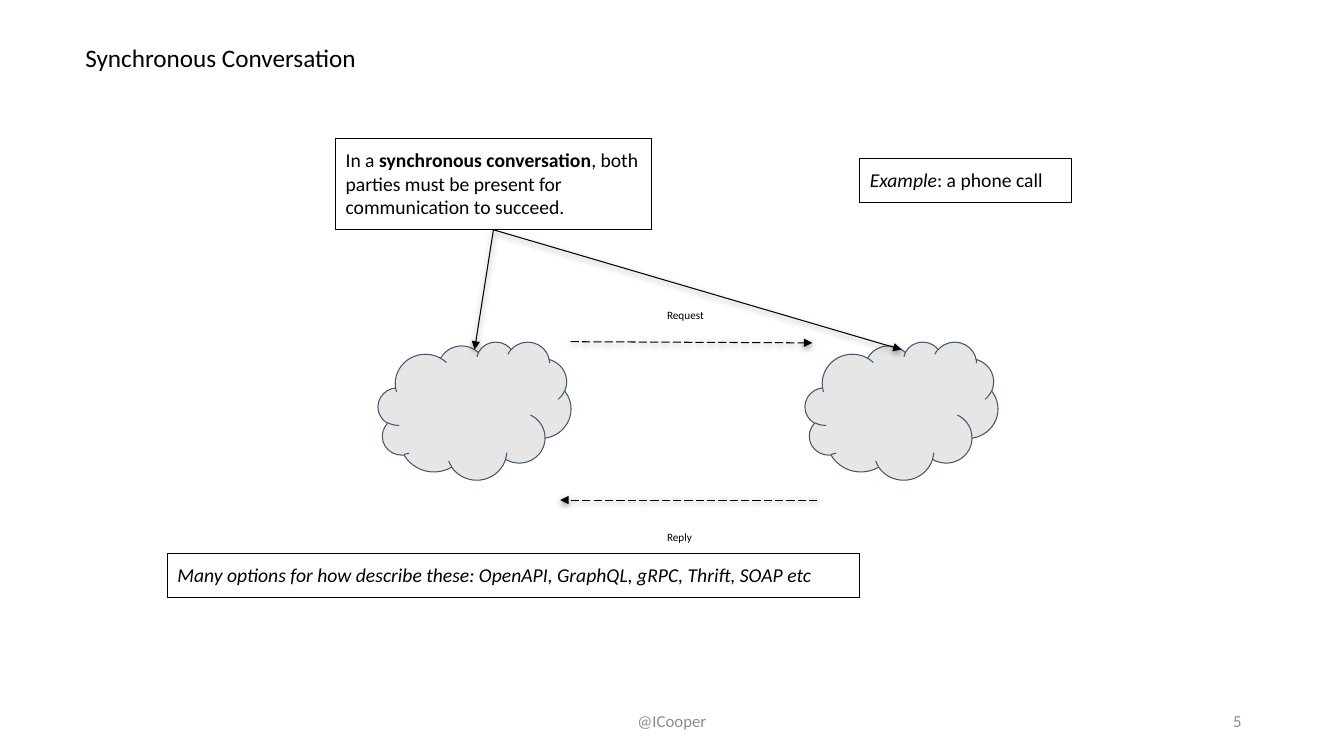
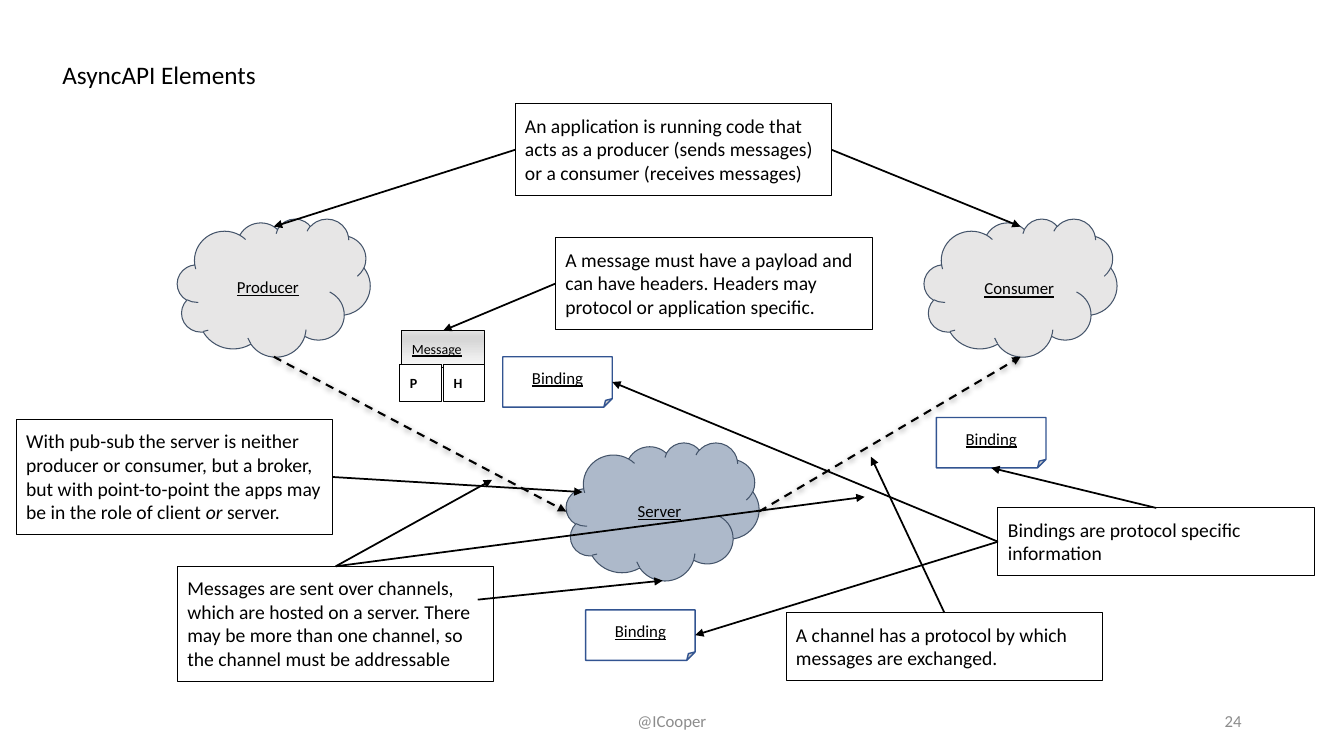
from copy import deepcopy
from dataclasses import dataclass, field
from typing import NamedTuple

from lxml.etree import SubElement
from pptx import Presentation
from pptx.dml.color import RGBColor
from pptx.enum.dml import MSO_LINE as Dash
from pptx.enum.shapes import MSO_CONNECTOR, MSO_SHAPE as Preset, PP_PLACEHOLDER as Kind
from pptx.enum.text import MSO_ANCHOR as Anchor, MSO_AUTO_SIZE as Fit, PP_ALIGN as Align
from pptx.oxml.ns import qn
from pptx.util import Cm, Pt

BLACK, WHITE, GREY = "000000", "FFFFFF", "8C8C8C"
PALE, SLATE, STEEL, BLUE = "E7E6E6", "44546A", "ADB9CA", "325491"
MESSAGE_STOPS = ((0, "FAFAFA"), (74, "D7D7D7"), (83, "D7D7D7"), (100, "E4E4E4"))
TOP, LEFT, BOTTOM, RIGHT = range(4)
CLOUD_WIDTH, CLOUD_HEIGHT = 4.86, 3.48
NOTE_WIDTH = 7.98
FOOTER_TEXT = "@ICooper"
UNDERLINED = {"size": Pt(12), "underline": True}
ITALIC = {"italic": True}
BOLD = {"bold": True}


class Box(NamedTuple):
    left: float
    top: float
    width: float
    height: float


class Point(NamedTuple):
    x: float
    y: float


class Side(NamedTuple):
    name: str
    site: int


class Words(NamedTuple):
    text: str
    style: dict = {}


@dataclass
class TextStyle:
    size: int = 14
    colour: str = BLACK
    align: Align = Align.LEFT
    anchor: Anchor = Anchor.TOP
    inset: float = 0.25


@dataclass
class Item:
    name: str
    box: Box
    words: list[Words] = field(default_factory=list)
    preset: Preset | None = Preset.RECTANGLE
    fill: str | tuple | None = None
    line: str = BLACK
    weight: float = 0.75
    style: TextStyle = field(default_factory=TextStyle)


@dataclass
class Arrow:
    start: Point | Side
    end: Point | Side
    weight: float = 1.25
    dash: Dash | None = None
    shadow: bool = False


@dataclass
class Page:
    title: str
    title_at: Point
    number: str
    items: list[Item]
    arrows: list[Arrow]


TITLE_STYLE = TextStyle(size=18)
FOOTER_STYLE = TextStyle(12, GREY, Align.CENTER, Anchor.MIDDLE)
NUMBER_STYLE = TextStyle(12, GREY, Align.RIGHT, Anchor.MIDDLE)
FOOTERS = {
    Kind.FOOTER: (Box(11.22, 17.65, 11.43, 1.02), FOOTER_STYLE),
    Kind.SLIDE_NUMBER: (Box(23.92, 17.65, 7.62, 1.02), NUMBER_STYLE),
}


def cloud(name: str, left: float, top: float, fill: str = PALE) -> Item:
    box = Box(left, top, CLOUD_WIDTH, CLOUD_HEIGHT)
    return Item(name, box, preset=Preset.CLOUD, fill=fill, line=SLATE)


def label(text: str, box: Box, **style) -> Item:
    return Item(text + " label", box, [Words(text, style)], preset=None)


def note(name: str, left: float, top: float, height: float, *words: Words) -> Item:
    return Item(name, Box(left, top, NOTE_WIDTH, height), list(words))


def binding(name: str, left: float, top: float) -> Item:
    style = TextStyle(12, BLACK, Align.CENTER, Anchor.MIDDLE)
    return Item(name, Box(left, top, 2.76, 1.27), [Words("Binding", UNDERLINED)],
                Preset.FOLDED_CORNER, WHITE, BLUE, 1, style)


def message_part(text: str, left: float) -> Item:
    return Item(text, Box(left, 9.19, 1.04, 0.94), [Words(text, BOLD)],
                fill=WHITE, style=TextStyle(size=10))


def set_values(target, values: dict) -> None:
    for name, value in values.items():
        setattr(target, name, value)


def colour(value: str) -> RGBColor:
    return RGBColor.from_string(value)


def place(shape, box: Box) -> None:
    set_values(shape, {name: Cm(value) for name, value in box._asdict().items()})


def write(shape, words: list[Words], style: TextStyle) -> None:
    frame = shape.text_frame
    frame.text = ""
    set_values(frame, {
        "word_wrap": True, "auto_size": Fit.NONE, "vertical_anchor": style.anchor,
        "margin_left": Cm(style.inset), "margin_right": Cm(style.inset),
        "margin_top": Cm(style.inset), "margin_bottom": Cm(style.inset),
    })
    paragraph = frame.paragraphs[0]
    paragraph.alignment = style.align
    for piece in words:
        run = paragraph.add_run()
        run.text = piece.text
        set_values(run.font, {"name": "Calibri", "size": Pt(style.size)} | piece.style)
        run.font.color.rgb = colour(style.colour)


def paint(shape, fill: str | tuple | None) -> None:
    if fill is None:
        shape.fill.background()
    elif isinstance(fill, str):
        shape.fill.solid()
        shape.fill.fore_color.rgb = colour(fill)
    else:
        shape.fill.gradient()
        shape.fill.gradient_angle = 90
        stops = next(shape.element.iter(qn("a:gsLst")))
        stops.clear()
        for position, value in fill:
            stop = SubElement(stops, qn("a:gs"), pos=str(position * 1000))
            SubElement(stop, qn("a:srgbClr"), val=value)


def draw_item(slide, item: Item):
    if item.preset is None:
        shape = slide.shapes.add_textbox(*map(Cm, item.box))
    else:
        shape = slide.shapes.add_shape(item.preset, *map(Cm, item.box))
        shape.shadow.inherit = False
        paint(shape, item.fill)
        shape.line.color.rgb = colour(item.line)
        shape.line.width = Pt(item.weight)
    if item.words:
        write(shape, item.words, item.style)
    return shape


def locate(end: Point | Side, items: dict[str, Item]) -> Point:
    if isinstance(end, Point):
        return end
    item = items[end.name]
    left, top, width, height = item.box
    peak = 0.2 if item.preset == Preset.CLOUD else 0
    return {
        TOP: Point(left + width / 2, top + peak),
        LEFT: Point(left, top + height / 2),
        BOTTOM: Point(left + width / 2, top + height),
        RIGHT: Point(left + width, top + height / 2),
    }[end.site]


def draw_arrow(slide, arrow: Arrow, items: dict[str, Item], shapes: dict) -> None:
    ends = locate(arrow.start, items) + locate(arrow.end, items)
    connector = slide.shapes.add_connector(MSO_CONNECTOR.STRAIGHT, *map(Cm, ends))
    for end, join in ((arrow.start, connector.begin_connect), (arrow.end, connector.end_connect)):
        if isinstance(end, Side) and items[end.name].preset != Preset.CLOUD:
            join(shapes[end.name], end.site)
    connector.line.color.rgb = colour(BLACK)
    set_values(connector.line, {"width": Pt(arrow.weight), "dash_style": arrow.dash})
    properties = connector.element.spPr
    SubElement(properties.find(qn("a:ln")), qn("a:tailEnd"), type="triangle")
    effects = SubElement(properties, qn("a:effectLst"))
    if arrow.shadow:
        shadow = SubElement(effects, qn("a:outerShdw"), blurRad=str(Pt(4.5)),
                            dist=str(Pt(1.5)), dir="5400000", rotWithShape="0")
        tint = SubElement(shadow, qn("a:srgbClr"), val=BLACK)
        SubElement(tint, qn("a:alpha"), val="50000")


def draw_page(presentation, page: Page) -> None:
    layout = presentation.slide_layouts[5]
    slide = presentation.slides.add_slide(layout)
    place(slide.shapes.title, Box(*page.title_at, 21.97, 1.27))
    write(slide.shapes.title, [Words(page.title)], TITLE_STYLE)
    texts = {Kind.FOOTER: FOOTER_TEXT, Kind.SLIDE_NUMBER: page.number}
    for placeholder in layout.placeholders:
        kind = placeholder.placeholder_format.type
        if kind in FOOTERS:
            slide.shapes.element.append(deepcopy(placeholder.element))
            shape = slide.shapes[-1]
            box, style = FOOTERS[kind]
            place(shape, box)
            write(shape, [Words(texts[kind])], style)
    items = {item.name: item for item in page.items}
    shapes = {name: draw_item(slide, item) for name, item in items.items()}
    for arrow in page.arrows:
        draw_arrow(slide, arrow, items, shapes)


CONVERSATION = Page(
    "Synchronous Conversation", Point(1.9, 0.81), "5",
    [
        cloud("caller", 9.53, 8.61),
        cloud("receiver", 20.29, 8.61),
        Item("definition", Box(8.46, 3.48, 7.95, 2.31), [
            Words("In a "), Words("synchronous conversation", BOLD),
            Words(", both parties must be present for communication to succeed.")]),
        label("Request", Box(16.56, 7.52, 1.57, 0.86), size=Pt(8)),
        label("Reply", Box(16.56, 13.11, 1.57, 0.86), size=Pt(8)),
        Item("example", Box(21.67, 3.99, 5.33, 1.12),
             [Words("Example", ITALIC), Words(": a phone call")]),
        Item("options", Box(4.22, 13.94, 17.45, 1.12), [Words(
            "Many options for how describe these: OpenAPI, GraphQL, gRPC, Thrift, SOAP etc",
            ITALIC)]),
    ],
    [
        Arrow(Point(14.38, 8.61), Point(20.47, 8.64), 0.75, Dash.LONG_DASH, True),
        Arrow(Point(20.6, 12.6), Point(14.12, 12.6), 0.75, Dash.LONG_DASH, True),
        *(Arrow(Side("definition", BOTTOM), Side(name, TOP), 0.75, shadow=True)
          for name in ("caller", "receiver")),
    ],
)

ELEMENTS = Page(
    "AsyncAPI Elements", Point(1.32, 1.24), "24",
    [
        cloud("producer", 4.47, 5.51),
        cloud("consumer", 23.29, 5.51),
        cloud("server", 14.27, 11.15, STEEL),
        label("Producer", Box(5.72, 6.73, 2.31, 1.02), **UNDERLINED),
        label("Consumer", Box(24.56, 6.76, 2.31, 1.02), **UNDERLINED),
        label("Server", Box(15.82, 12.37, 1.7, 1.02), **UNDERLINED),
        Item("message", Box(10.13, 8.33, 2.08, 0.94), [Words("Message", {"underline": True})],
             fill=MESSAGE_STOPS, style=TextStyle(size=10)),
        message_part("P", 10.08),
        message_part("H", 11.18),
        note("application note", 12.98, 2.62, 2.31, Words(
            "An application is running code that acts as a producer (sends messages) "
            "or a consumer (receives messages)")),
        note("message note", 14, 5.99, 2.31, Words(
            "A message must have a payload and can have headers. "
            "Headers may protocol or application specific.")),
        note("channels note", 4.47, 14.27, 2.9, Words(
            "Messages are sent over channels, which are hosted on a server. There may be "
            "more than one channel, so the channel must be addressable")),
        note("protocol note", 19.81, 15.44, 1.7, Words(
            "A channel has a protocol by which messages are exchanged.")),
        note("bindings note", 25.15, 12.8, 1.7, Words(
            "Bindings are protocol specific information")),
        note("broker note", 0.41, 10.57, 2.9, Words(
            "With pub-sub the server is neither producer or consumer, but a broker, "
            "but with point-to-point the apps may be in the role of client "),
            Words("or", ITALIC), Words(" server.")),
        binding("channel binding", 23.6, 10.52),
        binding("server binding", 14.76, 15.37),
        binding("message binding", 12.67, 8.99),
    ],
    [
        Arrow(Side("producer", BOTTOM), Side("server", LEFT), 1.5, Dash.DASH, True),
        Arrow(Side("server", RIGHT), Side("consumer", BOTTOM), 1.5, Dash.DASH, True),
        Arrow(Side("application note", LEFT), Side("producer", TOP)),
        Arrow(Side("application note", RIGHT), Side("consumer", TOP)),
        Arrow(Side("message note", LEFT), Side("message", TOP)),
        Arrow(Side("channels note", TOP), Point(12.4, 12.09)),
        Arrow(Side("channels note", TOP), Point(21.79, 12.52)),
        Arrow(Point(12.04, 15.11), Side("server", BOTTOM)),
        Arrow(Side("protocol note", TOP), Point(21.95, 11.51)),
        Arrow(Side("bindings note", TOP), Side("channel binding", BOTTOM)),
        Arrow(Side("bindings note", LEFT), Side("server binding", RIGHT)),
        Arrow(Side("bindings note", LEFT), Side("message binding", RIGHT)),
        Arrow(Side("broker note", RIGHT), Point(14.68, 12.4)),
    ],
)


def main() -> None:
    presentation = Presentation()
    set_values(presentation, {"slide_width": Cm(33.87), "slide_height": Cm(19.05)})
    for page in (CONVERSATION, ELEMENTS):
        draw_page(presentation, page)
    presentation.save("out.pptx")


if __name__ == "__main__":
    main()
